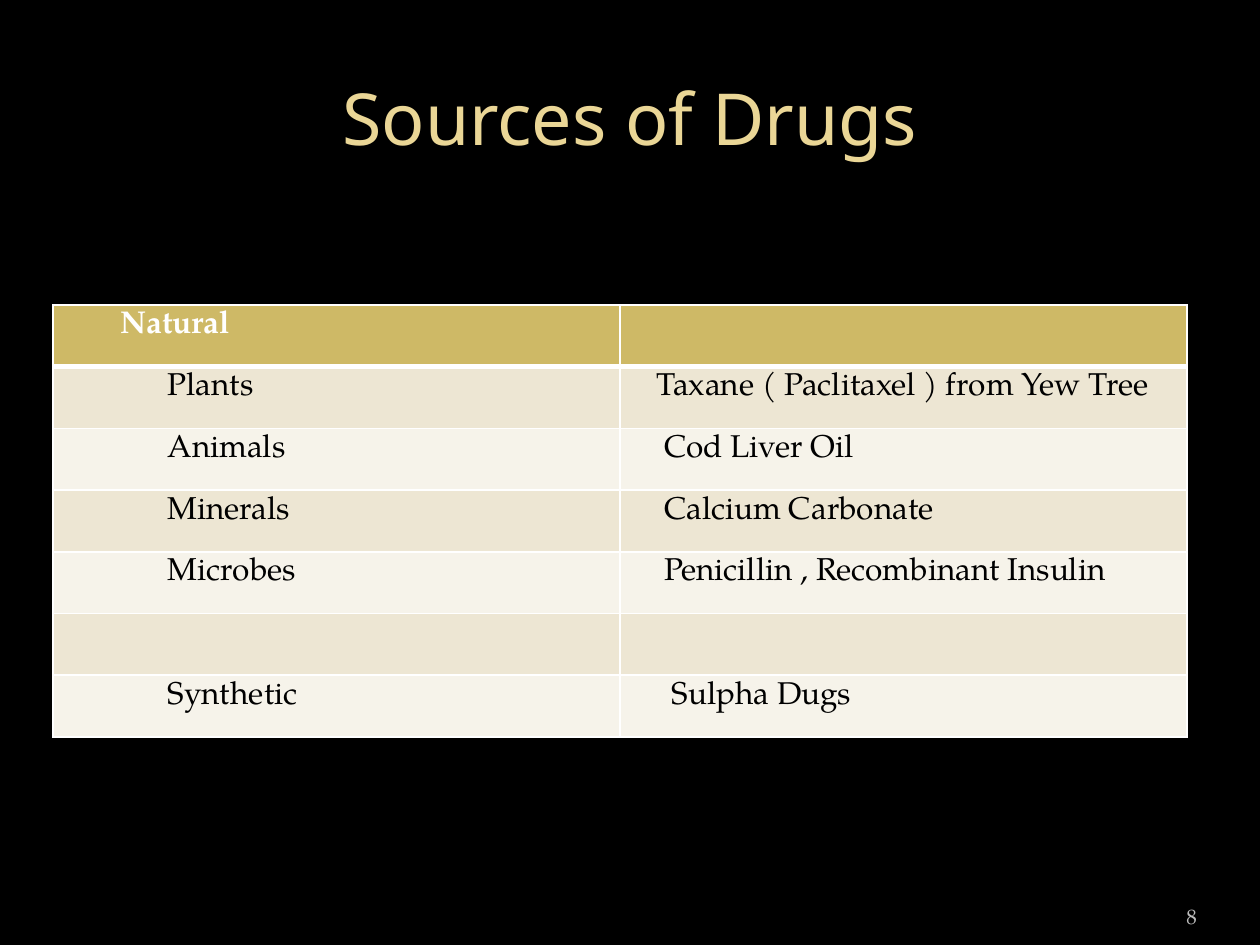
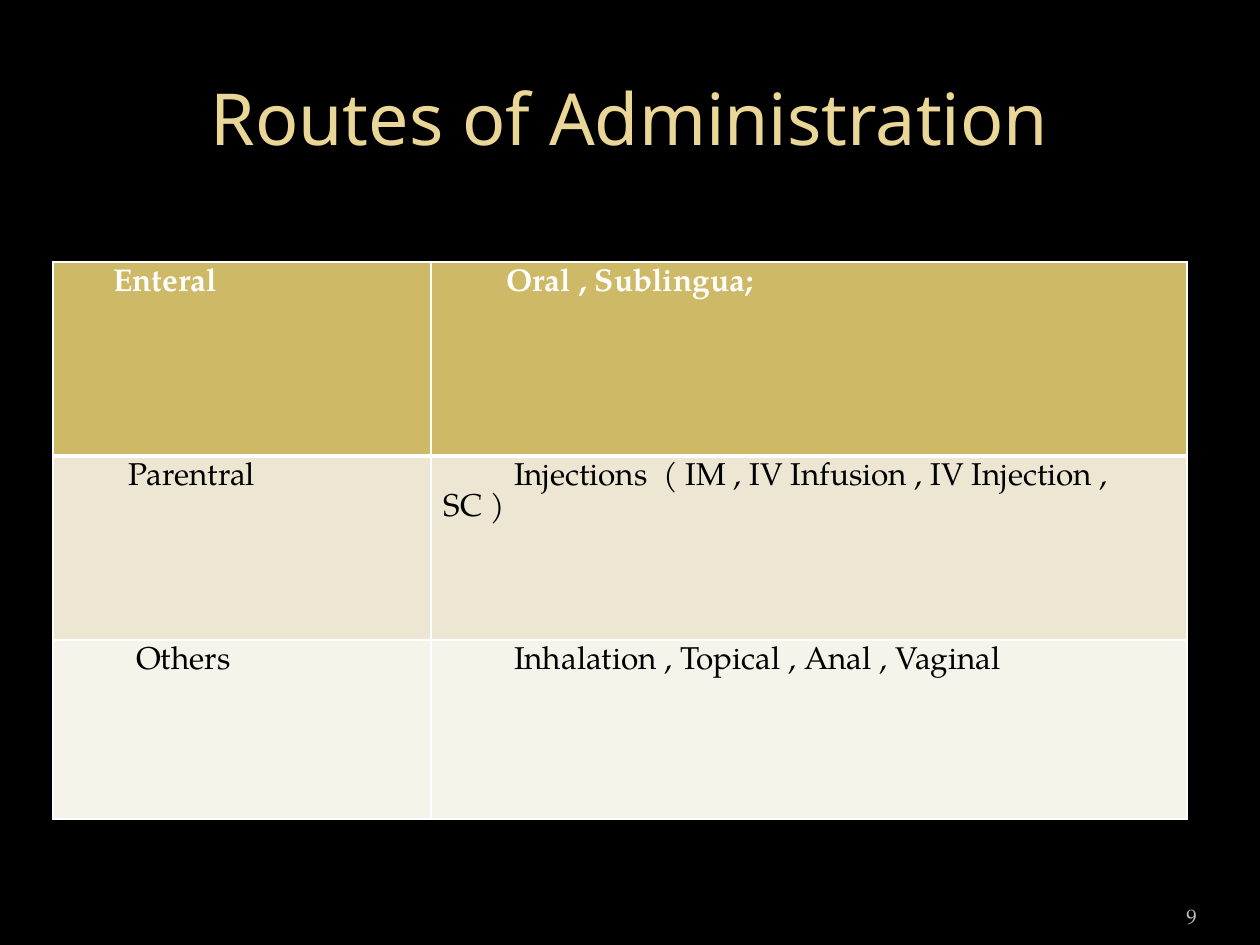
from lxml.etree import SubElement
from pptx import Presentation
from pptx.dml.color import RGBColor
from pptx.enum.text import MSO_ANCHOR, PP_ALIGN
from pptx.oxml.ns import qn
from pptx.util import Inches, Pt

COLORS = {
    "background": "000000",
    "title": "EAD696",
    "number": "BDBDBD",
    "header": "CEB966",
    "band_dark": "EDE6D3",
    "band_light": "F6F3EA",
    "header_text": "FFFFFF",
    "body_text": "000000",
    "border": "FFFFFF",
}
BODY_FONT = "TeX Gyre Pagella"
TITLE = {
    "box": (0.5, 0.3, 9, 1.25),
    "frame": {"vertical_anchor": MSO_ANCHOR.MIDDLE},
    "align": PP_ALIGN.CENTER,
    "font": {"name": "Noto Sans", "size": Pt(41)},
    "color": "title",
}
NUMBER = {
    "box": (8.67, 7.02, 0.83, 0.4),
    "frame": {"vertical_anchor": MSO_ANCHOR.BOTTOM, "margin_left": 0, "margin_right": 0},
    "align": PP_ALIGN.RIGHT,
    "font": {"name": BODY_FONT, "size": Pt(12)},
    "color": "number",
}
TABLE_LEFT = 0.42

# Each cell is its text and its first-line indent in inches.
EMPTY = ("", 0)
SLIDES = [
    {
        "title": "Sources of Drugs",
        "number": "8",
        "top": 2.42,
        "columns": [4.5, 4.5],
        "heights": [0.49] * 7,
        "rows": [
            [("Natural", 0.44), EMPTY],
            [("Plants", 0.81), ("Taxane ( Paclitaxel ) from Yew Tree", 0.19)],
            [("Animals", 0.81), ("Cod Liver Oil", 0.25)],
            [("Minerals", 0.81), ("Calcium Carbonate", 0.25)],
            [("Microbes", 0.81), ("Penicillin , Recombinant Insulin", 0.25)],
            [EMPTY, EMPTY],
            [("Synthetic", 0.81), ("Sulpha Dugs", 0.31)],
        ],
    },
    {
        "title": "Routes of Administration",
        "number": "9",
        "top": 2.08,
        "columns": [3, 6],
        "heights": [1.54, 1.46, 1.42],
        "rows": [
            [("Enteral", 0.38), ("Oral , Sublingua;", 0.5)],
            [("Parentral", 0.5), ("Injections  ( IM , IV Infusion , IV Injection , SC )", 0.56)],
            [("Others", 0.56), ("Inhalation , Topical , Anal , Vaginal", 0.56)],
        ],
    },
]


def write(paragraph, text, font, color):
    run = paragraph.add_run()
    run.text = text
    for name, value in font.items():
        setattr(run.font, name, value)
    run.font.color.rgb = RGBColor.from_string(COLORS[color])


def add_borders(cell, widths):
    """Draw solid cell borders; widths maps L, R, T and B to points."""
    properties = cell._tc.get_or_add_tcPr()
    for side, width in widths.items():
        line = SubElement(properties, qn(f"a:ln{side}"), w=str(Pt(width)))
        fill = SubElement(line, qn("a:solidFill"))
        SubElement(fill, qn("a:srgbClr"), val=COLORS["border"])


presentation = Presentation()
presentation.slide_width = Inches(10)
presentation.slide_height = Inches(7.5)

for content in SLIDES:
    slide = presentation.slides.add_slide(presentation.slide_layouts[6])
    background = slide.background.fill
    background.solid()
    background.fore_color.rgb = RGBColor.from_string(COLORS["background"])

    for text, style in ((content["title"], TITLE), (content["number"], NUMBER)):
        frame = slide.shapes.add_textbox(*map(Inches, style["box"])).text_frame
        frame.word_wrap = True
        for name, value in style["frame"].items():
            setattr(frame, name, value)
        paragraph = frame.paragraphs[0]
        paragraph.alignment = style["align"]
        write(paragraph, text, style["font"], style["color"])

    columns, heights = content["columns"], content["heights"]
    table = slide.shapes.add_table(
        len(heights), len(columns), Inches(TABLE_LEFT), Inches(content["top"]),
        Inches(sum(columns)), Inches(sum(heights)),
    ).table
    for column, width in zip(table.columns, columns):
        column.width = Inches(width)
    for row, height in zip(table.rows, heights):
        row.height = Inches(height)

    for row_index, row in enumerate(content["rows"]):
        is_header = row_index == 0
        band = "header" if is_header else "band_dark" if row_index % 2 else "band_light"
        for column_index, (text, indent) in enumerate(row):
            cell = table.cell(row_index, column_index)
            add_borders(cell, {
                "L": 1, "R": 1,
                "T": 3 if row_index == 1 else 1,
                "B": 3 if is_header else 1,
            })
            cell.fill.solid()
            cell.fill.fore_color.rgb = RGBColor.from_string(COLORS[band])
            if text:
                paragraph = cell.text_frame.paragraphs[0]
                paragraph._p.get_or_add_pPr().set("indent", str(Inches(indent)))
                write(paragraph, text,
                      {"name": BODY_FONT, "size": Pt(18), "bold": is_header},
                      "header_text" if is_header else "body_text")

presentation.save("out.pptx")
